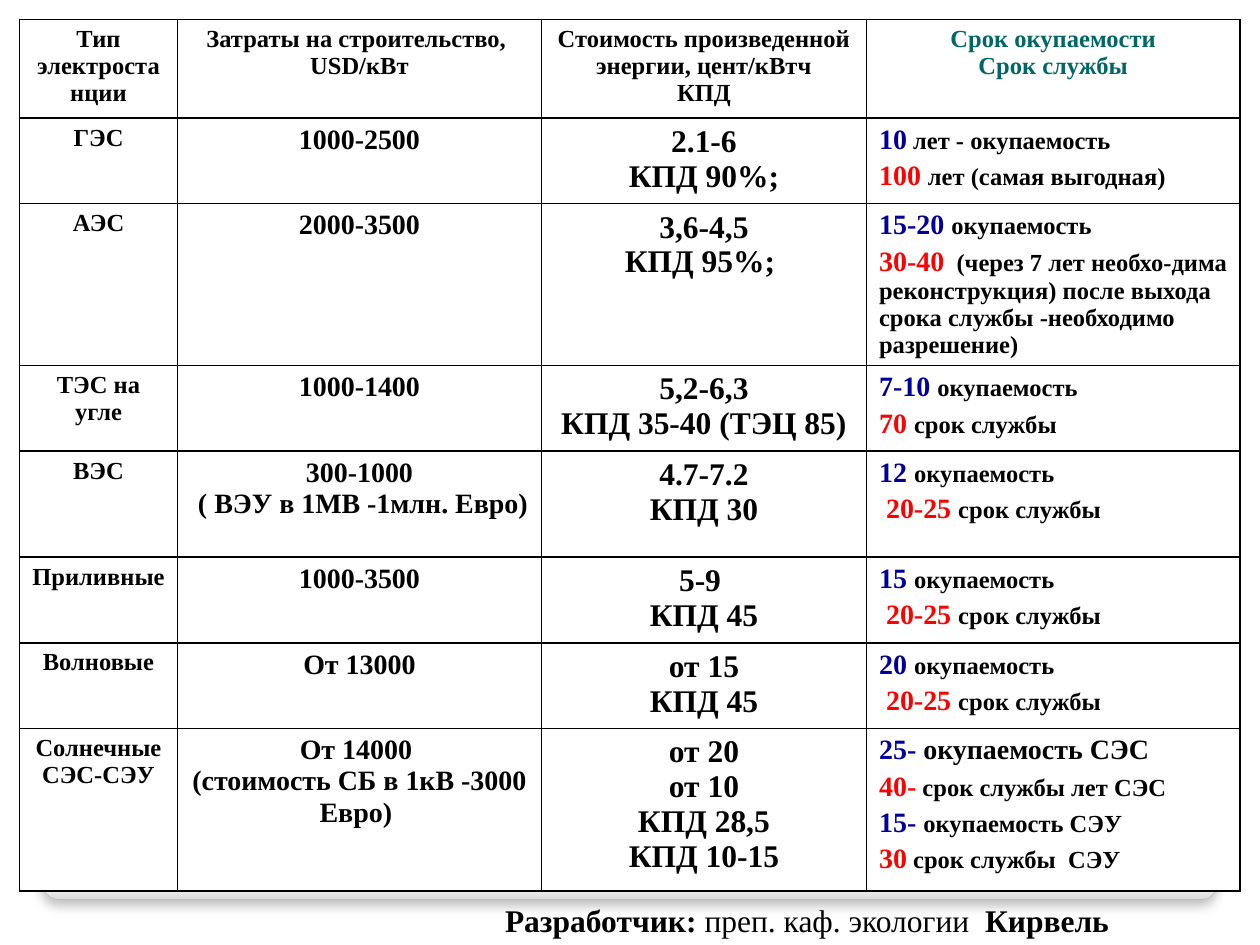
import pptx
import pptx.dml.color
import pptx.enum.dml
import pptx.enum.shapes
import pptx.enum.text
import pptx.oxml
import pptx.oxml.ns
import pptx.util

Pt = pptx.util.Pt
RGBColor = pptx.dml.color.RGBColor
CENTER = pptx.enum.text.PP_ALIGN.CENTER
LEFT = pptx.enum.text.PP_ALIGN.LEFT

BLACK = RGBColor(0x00, 0x00, 0x00)
WHITE = RGBColor(0xFF, 0xFF, 0xFF)
TEAL = RGBColor(0x00, 0x66, 0x66)
BLUE = RGBColor(0x00, 0x00, 0x99)
RED = RGBColor(0xFF, 0x00, 0x00)
EDGE_GRAY = RGBColor(0xA4, 0xA4, 0xA4)
SHADE_GRAY = RGBColor(0xDA, 0xDA, 0xDA)

COLUMN_WIDTHS = [90.2, 208, 185.8, 213.4]
ROW_HEIGHTS = [56.2, 49, 92.5, 48.9, 60.6, 49, 49, 92.8]
HEADINGS = [
    ["Тип электростанции"],
    ["Затраты на строительство, ", "USD/кВт"],
    ["Стоимость произведенной энергии, цент/кВтч", "КПД"],
    ["Срок окупаемости", "Срок службы"],
]
PAYBACK = "окупаемость"
SERVICE = "срок службы"
PLANTS = [
    (["ГЭС"], ["1000-2500"], ["2.1-6", "КПД 90%;"],
     [("10", " лет - окупаемость"), ("100 ", "лет (самая выгодная)")]),
    (["АЭС"], ["2000-3500"], ["3,6-4,5", "КПД 95%; "],
     [("15-20 ", PAYBACK),
      ("30-40", "  (через 7 лет необхо-дима реконструкция) после "
                "выхода срока службы -необходимо разрешение)")]),
    (["ТЭС на угле"], ["1000-1400"], ["5,2-6,3", "КПД 35-40 (ТЭЦ 85)"],
     [("7-10 ", PAYBACK), ("70 ", SERVICE)]),
    (["ВЭС"], ["300-1000", " ( ВЭУ в 1МВ -1млн. Евро)"], ["4.7-7.2", "КПД 30"],
     [("12 ", PAYBACK), (" 20-25 ", SERVICE)]),
    (["Приливные"], ["1000-3500"], ["5-9 ", "КПД 45"],
     [("15 ", PAYBACK), (" 20-25 ", SERVICE)]),
    (["Волновые"], ["От 13000"], ["от 15", "КПД 45"],
     [("20 ", PAYBACK), (" 20-25 ", SERVICE)]),
    (["Солнечные", "СЭС-СЭУ"], ["От 14000 ", "(стоимость СБ в 1кВ -3000 Евро) "],
     ["от 20", "от 10", "КПД 28,5", "КПД 10-15"],
     [("25- ", "окупаемость СЭС", 16), ("40-", " срок службы лет СЭС"),
      ("15- ", "окупаемость СЭУ"), ("30", " срок службы  СЭУ")]),
]


class SlideBuilder:
    font_name = "Times New Roman"
    small, medium, large = 14, 16, 18

    def __init__(self, slide):
        self.slide = slide

    def panel(self, left, top, width, height):
        panel = self.slide.shapes.add_shape(
            pptx.enum.shapes.MSO_SHAPE.ROUNDED_RECTANGLE,
            Pt(left), Pt(top), Pt(width), Pt(height))
        panel.adjustments[0] = 0.02
        panel.fill.gradient()
        panel.fill.gradient_angle = 270
        stops = panel.fill.gradient_stops
        for stop, color, position in zip(stops, (WHITE, SHADE_GRAY), (0.98, 1)):
            stop.color.rgb = color
            stop.position = position
        panel.line.color.rgb = EDGE_GRAY
        panel.line.width = Pt(0.16)
        panel.shadow.inherit = False
        effects = panel._element.spPr.find(pptx.oxml.ns.qn("a:effectLst"))
        effects.append(pptx.oxml.parse_xml(
            f'<a:outerShdw {pptx.oxml.ns.nsdecls("a")} blurRad="{Pt(6)}" '
            f'dist="{Pt(4)}" dir="5400000" rotWithShape="0">'
            '<a:srgbClr val="000000"><a:alpha val="25000"/></a:srgbClr>'
            '</a:outerShdw>'))

    def table(self, left, top, widths, heights):
        table = self.slide.shapes.add_table(
            len(heights), len(widths), Pt(left), Pt(top),
            Pt(sum(widths)), Pt(sum(heights))).table
        table.first_row = False
        table.horz_banding = False
        for column, width in zip(table.columns, widths):
            column.width = Pt(width)
        for row, height in zip(table.rows, heights):
            row.height = Pt(height)
        for cell in table.iter_cells():
            properties = cell._tc.get_or_add_tcPr()
            for side in "LRTB":
                properties.append(pptx.oxml.parse_xml(
                    f'<a:ln{side} {pptx.oxml.ns.nsdecls("a")} w="{Pt(1)}">'
                    f'<a:solidFill><a:srgbClr val="{BLACK}"/></a:solidFill>'
                    f'</a:ln{side}>'))
            cell.fill.solid()
            cell.fill.fore_color.rgb = WHITE
        return table

    def paragraph(self, frame, index, align):
        paragraph = frame.add_paragraph() if index else frame.paragraphs[0]
        paragraph.alignment = align
        paragraph.font.name = self.font_name
        return paragraph

    def lines(self, cell, texts, size, color=BLACK):
        for index, text in enumerate(texts):
            line = self.paragraph(cell.text_frame, index, CENTER)
            line.font.size = Pt(size)
            line.font.bold = True
            line.font.color.rgb = color
            line.add_run().text = text

    def terms(self, cell, terms):
        for index, (years, label, *label_size) in enumerate(terms):
            term = self.paragraph(cell.text_frame, index, LEFT)
            term.font.bold = True
            if index:
                term.space_before = Pt(3)
            styles = [(years, self.medium, RED if index % 2 else BLUE),
                      (label, label_size[0] if label_size else self.small, BLACK)]
            for text, size, color in styles:
                run = term.add_run()
                run.text = text
                run.font.size = Pt(size)
                run.font.color.rgb = color

    def caption(self, left, top, width, height, parts):
        frame = self.slide.shapes.add_textbox(
            Pt(left), Pt(top), Pt(width), Pt(height)).text_frame
        frame.word_wrap = True
        credit = self.paragraph(frame, 0, LEFT)
        credit.font.size = Pt(self.large)
        credit.font.color.rgb = BLACK
        for text, bold in parts:
            run = credit.add_run()
            run.text = text
            run.font.bold = bold


def main():
    presentation = pptx.Presentation()
    presentation.slide_width = Pt(720)
    presentation.slide_height = Pt(540)
    builder = SlideBuilder(
        presentation.slides.add_slide(presentation.slide_layouts[6]))

    builder.panel(24, 26, 672, 488)
    costs = builder.table(11.2, 11.2, COLUMN_WIDTHS, ROW_HEIGHTS)
    for column, (heading, color) in enumerate(
            zip(HEADINGS, (BLACK, BLACK, BLACK, TEAL))):
        builder.lines(costs.cell(0, column), heading, builder.small, color)
    sizes = (builder.small, builder.medium, builder.large)
    for row, (*facts, terms) in enumerate(PLANTS, start=1):
        for column, (fact, size) in enumerate(zip(facts, sizes)):
            builder.lines(costs.cell(row, column), fact, size)
        builder.terms(costs.cell(row, 3), terms)
    builder.caption(281.5, 511.2, 399.6, 28.8, [
        ("Разработчик:", True), (" преп. каф. экологии  ", False), ("Кирвель", True)])

    presentation.save("out.pptx")


if __name__ == "__main__":
    main()
